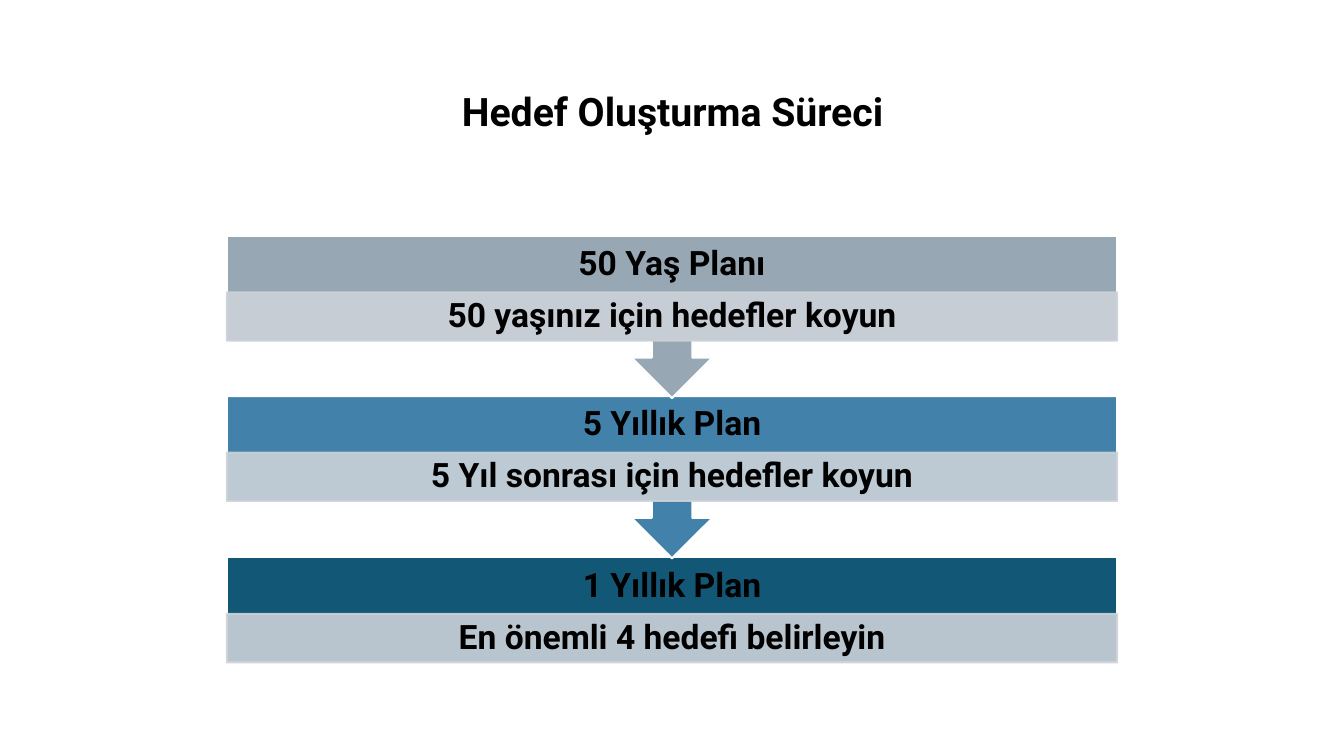
from dataclasses import dataclass

from lxml.etree import SubElement
from pptx import Presentation
from pptx.dml.color import RGBColor
from pptx.enum.shapes import MSO_SHAPE
from pptx.enum.text import MSO_ANCHOR, PP_ALIGN
from pptx.oxml.ns import qn
from pptx.util import Emu, Pt


@dataclass(frozen=True)
class Theme:
    font: str = "Roboto"
    text: str = "000000"
    outline: str = "FFFFFF"
    detail: str = "CCD2D8"
    detail_alpha: int = 90
    title_size: int = 28
    step_size: int = 24
    line_width: float = 1.5


THEME = Theme()
STEPS = [
    ("50 Yaş Planı", "50 yaşınız için hedefler koyun", "98A7B4"),
    ("5 Yıllık Plan", "5 Yıl sonrası için hedefler koyun", "4281A9"),
    ("1 Yıllık Plan", "En önemli 4 hedefi belirleyin", "135776"),
]


def px(n):
    return Emu(n * 9144)


def set_text(shape, text, size):
    tf = shape.text_frame
    tf.text = text
    tf.word_wrap = True
    tf.vertical_anchor = MSO_ANCHOR.MIDDLE
    tf.margin_left = tf.margin_right = px(19)
    tf.margin_top = tf.margin_bottom = px(3)
    p = tf.paragraphs[0]
    p.alignment = PP_ALIGN.CENTER
    p.line_spacing = 0.9
    font = p.runs[0].font
    font.name = THEME.font
    font.size = Pt(size)
    font.bold = True
    font.color.rgb = RGBColor.from_string(THEME.text)


def add_label(shapes, box, text, size):
    tb = shapes.add_textbox(*map(px, box))
    set_text(tb, text, size)


def add_block(shapes, kind, box, fill, line, alpha=100):
    shape = shapes.add_shape(kind, *map(px, box))
    shape.shadow.inherit = False
    shape.fill.solid()
    shape.fill.fore_color.rgb = RGBColor.from_string(fill)
    shape.line.color.rgb = RGBColor.from_string(line)
    shape.line.width = Pt(THEME.line_width)
    if alpha < 100:
        for color in shape._element.spPr.iter(qn("a:srgbClr")):
            SubElement(color, qn("a:alpha")).set("val", str(alpha * 1000))
    return shape


def add_step(shapes, box, step, is_last):
    x, y, w, h = box
    heading, detail, fill = step
    kind = MSO_SHAPE.RECTANGLE if is_last else MSO_SHAPE.UP_ARROW_CALLOUT
    block = add_block(shapes, kind, box, fill, THEME.outline)
    if not is_last:
        block.rotation = 180
    add_label(shapes, (x, y, w, 57), heading, THEME.step_size)
    strip = add_block(shapes, MSO_SHAPE.RECTANGLE, (x, y + 56, w, 48),
                      THEME.detail, THEME.detail, THEME.detail_alpha)
    set_text(strip, detail, THEME.step_size)


def add_process(s, box):
    x, y, w, h = box
    group = s.shapes.add_group_shape()
    body_h, callout_h = 105, 161
    last = len(STEPS) - 1
    for i in range(last, -1, -1):
        top = y + i * (h - body_h) // last
        step_h = body_h if i == last else callout_h
        add_step(group.shapes, (x, top, w, step_h), STEPS[i], i == last)


def main():
    prs = Presentation()
    prs.slide_width, prs.slide_height = px(1333), px(750)
    s = prs.slides.add_slide(prs.slide_layouts[6])
    add_label(s.shapes, (92, 40, 1150, 145), "Hedef Oluşturma Süreci", THEME.title_size)
    add_process(s, (225, 234, 883, 424))
    prs.save("out.pptx")


if __name__ == "__main__":
    main()
